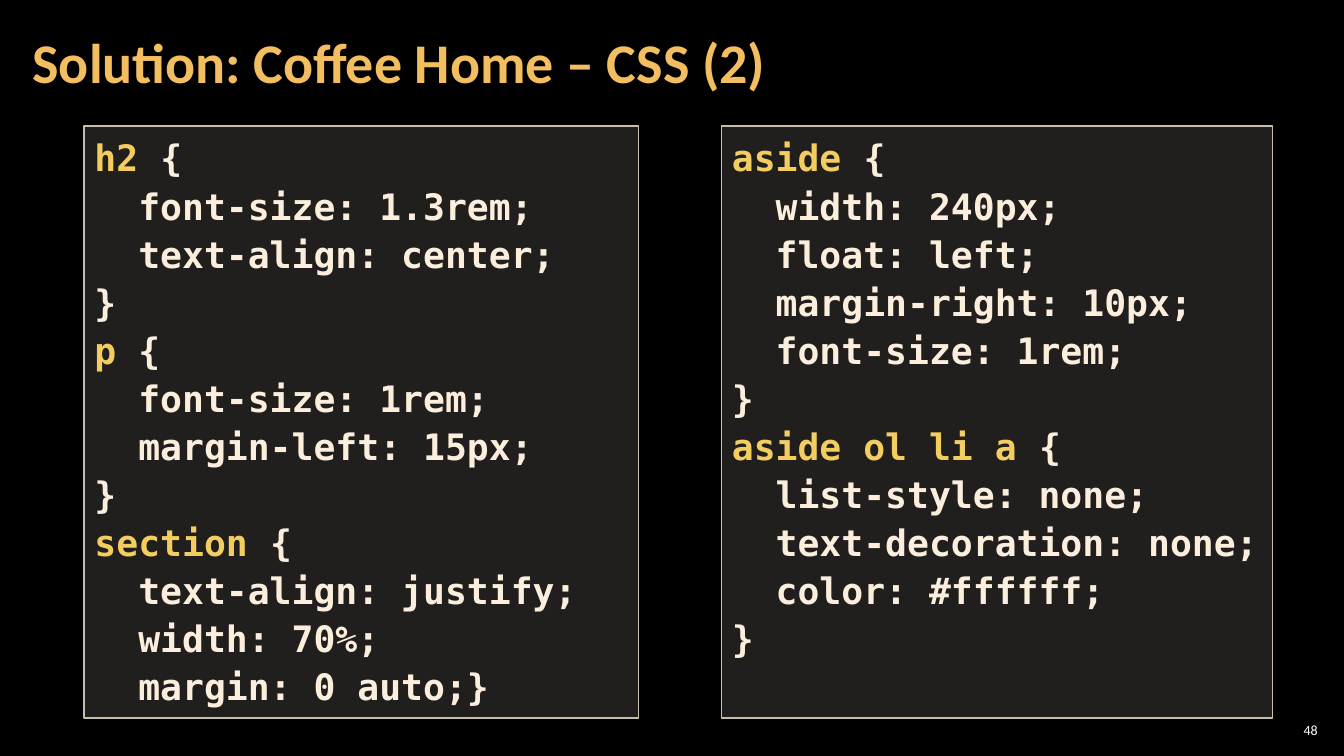
from dataclasses import dataclass

from lxml.etree import SubElement
from pptx import Presentation
from pptx.dml.color import RGBColor
from pptx.enum.shapes import MSO_SHAPE
from pptx.enum.text import MSO_ANCHOR, MSO_AUTO_SIZE, PP_ALIGN
from pptx.oxml.ns import qn
from pptx.util import Pt

# Content: each code line is (selector, rest)
TITLE = "Solution: Coffee Home – CSS (2)"
PAGE = "48"
LEFT_CODE = [
    ("h2 ", "{"),
    ("", "  font-size: 1.3rem;"),
    ("", "  text-align: center;"),
    ("", "}"),
    ("p", " {"),
    ("", "  font-size: 1rem;"),
    ("", "  margin-left: 15px;"),
    ("", "}"),
    ("section", " {"),
    ("", "  text-align: justify;"),
    ("", "  width: 70%;"),
    ("", "  margin: 0 auto;}"),
]
RIGHT_CODE = [
    ("aside ", "{"),
    ("", "  width: 240px;"),
    ("", "  float: left;"),
    ("", "  margin-right: 10px;"),
    ("", "  font-size: 1rem;"),
    ("", "}"),
    ("aside ol li a ", "{"),
    ("", "  list-style: none;"),
    ("", "  text-decoration: none;"),
    ("", "  color: #ffffff;"),
    ("", "}"),
]


@dataclass(frozen=True)
class Theme:
    background: str = "000000"
    title: str = "F3BE60"
    selector: str = "F3CD60"
    code: str = "FBEEDC"
    panel: str = "D9D5C7"
    panel_alpha: int = 15
    border: str = "C7BFAC"
    page: str = "FFFFFF"
    text_font: str = "Calibri"
    code_font: str = "DejaVu Sans Mono"
    title_size: int = 40
    code_size: int = 26
    page_size: int = 10


THEME = Theme()

# Layout in px, 96 to the inch
PX = 9525
SLIDE_SIZE = (1280, 720)
TITLE_BOX = (20, 4, 1005, 116)
PAGE_BOX = (1214, 685, 45, 20)
PANEL_TOP, PANEL_HEIGHT = 120, 564
PANELS = [(80, 528, LEFT_CODE), (687, 525, RIGHT_CODE)]


def emu(box):
    return [n * PX for n in box]


def rgb(color):
    return RGBColor.from_string(color)


def add_run(p, text, font, size, color, bold=False):
    r = p.add_run()
    r.text = text
    r.font.name, r.font.size, r.font.bold = font, Pt(size), bold
    r.font.color.rgb = rgb(color)


def set_frame(tf, anchor, side, edge):
    tf.word_wrap = True
    tf.auto_size = MSO_AUTO_SIZE.NONE
    tf.vertical_anchor = anchor
    tf.margin_left = tf.margin_right = side * PX
    tf.margin_top = tf.margin_bottom = edge * PX


def add_code_panel(s, left, width, lines):
    sp = s.shapes.add_shape(MSO_SHAPE.RECTANGLE,
                            *emu((left, PANEL_TOP, width, PANEL_HEIGHT)))
    sp.shadow.inherit = False
    sp.fill.solid()
    sp.fill.fore_color.rgb = rgb(THEME.panel)
    color = sp.fill._xPr.find(qn("a:solidFill"))[0]
    SubElement(color, qn("a:alpha")).set("val", str(THEME.panel_alpha * 1000))
    sp.line.color.rgb = rgb(THEME.border)
    sp.line.width = Pt(1)

    tf = sp.text_frame
    set_frame(tf, MSO_ANCHOR.TOP, 10, 5)
    for i, (selector, rest) in enumerate(lines):
        p = tf.add_paragraph() if i else tf.paragraphs[0]
        p.alignment = PP_ALIGN.LEFT
        p.line_spacing = 1.1
        for text, tint in ((selector, THEME.selector), (rest, THEME.code)):
            if text:
                add_run(p, text, THEME.code_font, THEME.code_size, tint, True)


def main():
    prs = Presentation()
    prs.slide_width, prs.slide_height = emu(SLIDE_SIZE)
    s = prs.slides.add_slide(prs.slide_layouts[5])
    s.background.fill.solid()
    s.background.fill.fore_color.rgb = rgb(THEME.background)

    # Title
    title = s.shapes.title
    title.left, title.top, title.width, title.height = emu(TITLE_BOX)
    set_frame(title.text_frame, MSO_ANCHOR.MIDDLE, 11, 4)
    p = title.text_frame.paragraphs[0]
    p.alignment = PP_ALIGN.LEFT
    p.line_spacing = 0.9
    add_run(p, TITLE, THEME.text_font, THEME.title_size, THEME.title, True)

    # Code panels
    for left, width, lines in PANELS:
        add_code_panel(s, left, width, lines)

    # Page number
    tf = s.shapes.add_textbox(*emu(PAGE_BOX)).text_frame
    set_frame(tf, MSO_ANCHOR.MIDDLE, 4, 4)
    p = tf.paragraphs[0]
    p.alignment = PP_ALIGN.RIGHT
    add_run(p, PAGE, THEME.text_font, THEME.page_size, THEME.page)

    prs.save("out.pptx")


if __name__ == "__main__":
    main()
